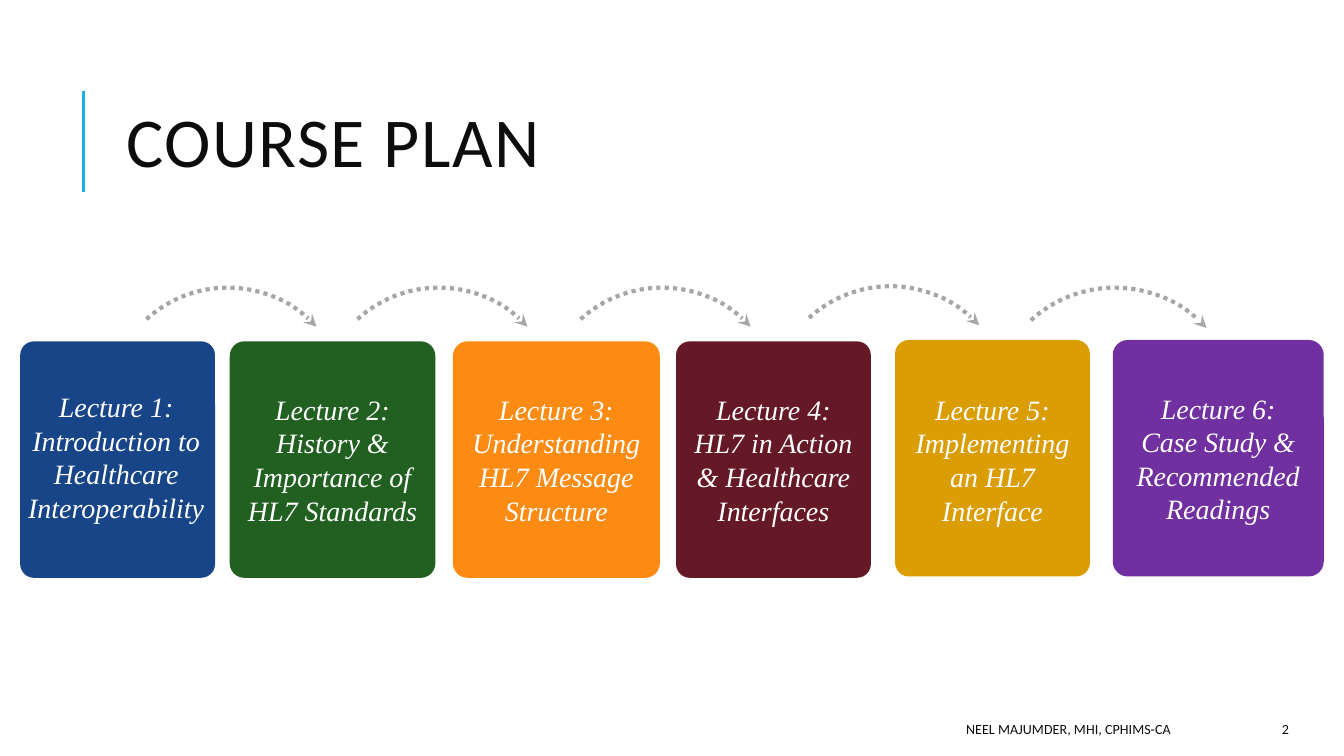
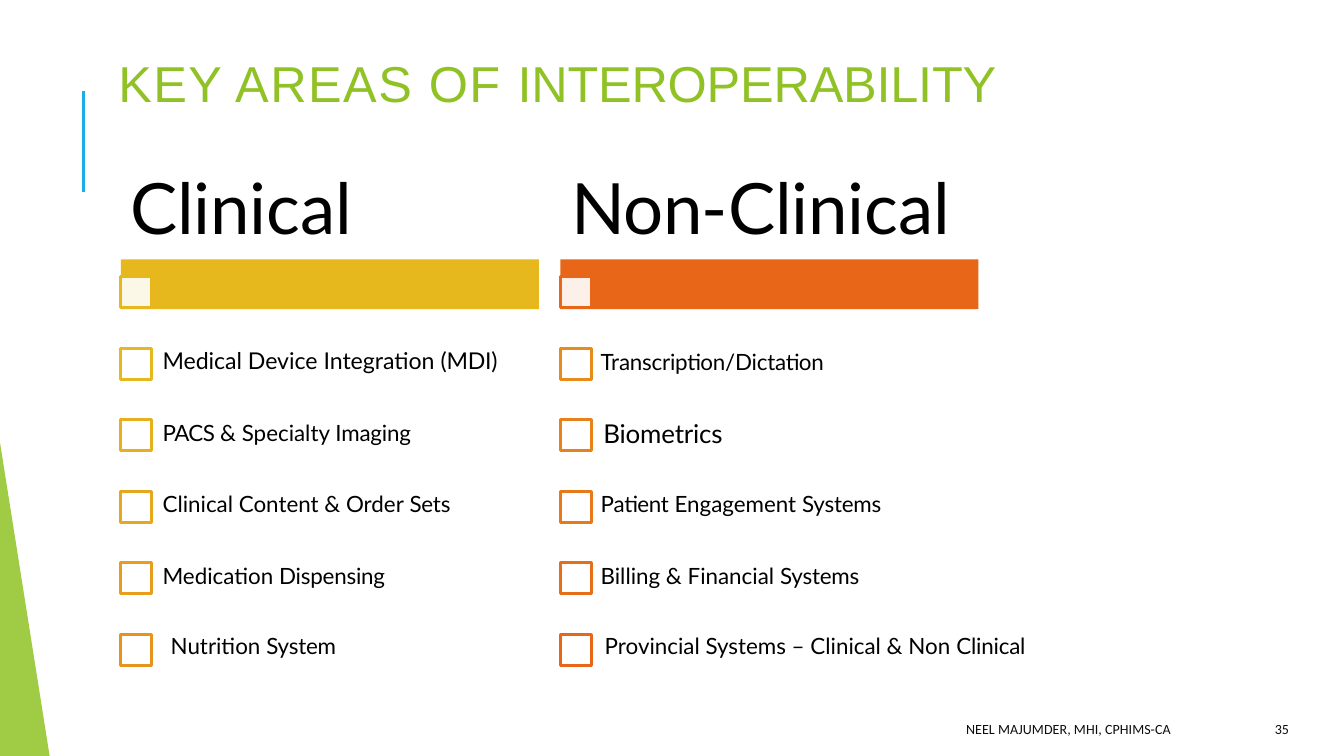
from dataclasses import dataclass

from lxml import etree
from pptx import Presentation
from pptx.dml.color import RGBColor
from pptx.enum.dml import MSO_LINE
from pptx.enum.shapes import MSO_CONNECTOR, MSO_SHAPE
from pptx.enum.text import MSO_ANCHOR, PP_ALIGN
from pptx.oxml.ns import qn
from pptx.util import Inches, Pt

LEFT, CENTER, RIGHT = PP_ALIGN.LEFT, PP_ALIGN.CENTER, PP_ALIGN.RIGHT
TOP, MIDDLE = MSO_ANCHOR.TOP, MSO_ANCHOR.MIDDLE
RECTANGLE, ROUNDED, ARC = MSO_SHAPE.RECTANGLE, MSO_SHAPE.ROUNDED_RECTANGLE, MSO_SHAPE.ARC
STRAIGHT = MSO_CONNECTOR.STRAIGHT
DOTTED = MSO_LINE.ROUND_DOT


@dataclass(frozen=True)
class Theme:
    """Colours, fonts and type sizes of the deck."""

    ink: str = "0D0D0D"
    black: str = "000000"
    white: str = "FFFFFF"
    accent: str = "1CADE4"
    green: str = "90C225"
    arrow: str = "A6A6A6"
    title_font: str = "Calibri"
    card_font: str = "Times New Roman"
    list_font: str = "Lato"
    area_title_font: str = "Arial"
    title_size: float = 37.5
    area_title_size: float = 27
    heading_size: float = 37.9
    card_size: float = 15
    item_size: float = 12
    footer_size: float = 7.5


THEME = Theme()
PAGE_WIDTH = Inches(10)
PAGE_HEIGHT = PAGE_WIDTH * 9 // 16
AUTHOR = "NEEL MAJUMDER, MHI, CPHIMS-CA"
DEFAULT_INSETS = (0.1, 0.05, 0.1, 0.05)
TIGHT_INSETS = (0.01, 0.01, 0, 0)
CARD_HEIGHT = 1.76
BOX_SIZE = 0.23
BAND_TOP, BAND_WIDTH, BAND_HEIGHT = 1.93, 3.11, 0.37
FIRST_BOX_TOP, BOX_GAP = 2.06, 2.66 / 5

CARDS = [
    (0.15, 2.54, 1.45, "184588",
     ["Lecture 1: Introduction to Healthcare Interoperability"], (0.08, 2.85, 1.57, 1.11)),
    (1.71, 2.54, 1.53, "226022", ["Lecture 2: History & Importance of HL7 Standards"], None),
    (3.37, 2.54, 1.54, "FC8B14", ["Lecture 3: Understanding HL7 Message Structure"], None),
    (5.03, 2.54, 1.45, "651826", ["Lecture 4: HL7 in Action & Healthcare Interfaces"], None),
    (6.66, 2.53, 1.45, "DA9D04",
     ["Lecture 5:", "Implementing an HL7 Interface"], (6.65, 2.87, 1.47, 1.11)),
    (8.28, 2.53, 1.57, "7030A0", ["Lecture 6:", "Case Study & Recommended Readings"], None),
]
ARROWS = [(0.8, 2.14, 1.79), (2.37, 2.14, 1.79), (4.03, 2.14, 1.79),
          (5.73, 2.13, 1.79), (7.37, 2.14, 1.85)]

CLINICAL = [
    ("E6B81E", (1.2, 2.57, 2.6), 12.4, [("Medical Device Integration ", 0), ("(MDI)", -0.1)]),
    ("E6AF1D", (1.2, 3.11, 1.91), THEME.item_size,
     [("PACS ", -0.3), ("& Specialty ", 0), ("Imaging", -0.1)]),
    ("E6A71D", (1.2, 3.64, 2.22), THEME.item_size,
     [("Clinical Content & Order ", 0), ("Sets", -0.1)]),
    ("E69E1C", (1.2, 4.17, 1.67), THEME.item_size, [("Medication ", 0), ("Dispensing", -0.1)]),
    ("E6941B", (1.26, 4.69, 1.28), THEME.item_size, [("Nutrition ", 0), ("System", -0.1)]),
]
NON_CLINICAL = [
    ("E78B1B", (4.46, 2.58, 1.79), THEME.item_size, [("Transcription/Dictation", -0.1)]),
    ("E7821A", (4.48, 3.1, 0.93), 13.9, [("Biometrics", -0.1)]),
    ("E77918", (4.46, 3.64, 2.17), THEME.item_size,
     [("Patient ", -0.1), ("Engagement ", 0), ("Systems", -0.1)]),
    ("E76E18", (4.46, 4.17, 2.03), THEME.item_size,
     [("Billing & Financial ", 0), ("Systems", -0.1)]),
    ("E76617", (4.49, 4.69, 3.24), THEME.item_size,
     [("Provincial Systems – Clinical & Non ", 0), ("Clinical", -0.1)]),
]


def rgb(code):
    """Return the colour for a hex code."""
    return RGBColor.from_string(code)


def write_text(frame, paragraphs, font, size, color, italic=False, align=LEFT, anchor=TOP,
               insets=DEFAULT_INSETS, line_spacing=None, tab=None):
    """Fill a text frame with paragraphs, each a list of (text, letter spacing) spans."""
    frame.word_wrap = True
    frame.vertical_anchor = anchor
    frame.margin_left, frame.margin_top, frame.margin_right, frame.margin_bottom = map(
        Inches, insets)
    for index, spans in enumerate(paragraphs):
        para = frame.add_paragraph() if index else frame.paragraphs[0]
        para.alignment = align
        if line_spacing:
            para.line_spacing = line_spacing
        if tab:
            tabs = etree.SubElement(para._p.get_or_add_pPr(), qn("a:tabLst"))
            etree.SubElement(tabs, qn("a:tab"), pos=str(Inches(tab)), algn="l")
        for text, spacing in spans:
            span = para.add_run()
            span.text = text
            span.font.name, span.font.size = font, Pt(size)
            span.font.italic = italic
            span.font.color.rgb = rgb(color)
            if spacing:
                span._r.get_or_add_rPr().set("spc", str(round(spacing * 100)))


def add_text(page, place, paragraphs, **style):
    """Add a text box."""
    box = page.shapes.add_textbox(*map(Inches, place))
    write_text(box.text_frame, paragraphs, **style)


def paint(shape, fill=None, alpha=None, line=None, width=1.6):
    """Set the fill, transparency and outline of a shape."""
    shape.shadow.inherit = False
    if fill:
        shape.fill.solid()
        shape.fill.fore_color.rgb = rgb(fill)
        if alpha:
            color = shape._element.spPr.find(qn("a:solidFill"))[0]
            etree.SubElement(color, qn("a:alpha"), val=str(alpha * 1000))
    else:
        shape.fill.background()
    if line:
        shape.line.color.rgb = rgb(line)
        shape.line.width = Pt(width)
    else:
        shape.line.fill.background()


def add_block(page, kind, place, **look):
    """Add a painted preset shape."""
    shape = page.shapes.add_shape(kind, *map(Inches, place))
    paint(shape, **look)
    return shape


def add_card(page, left, top, width, color, lines, label_place):
    """Add a lecture card, its label inside or in a box of its own."""
    card = add_block(page, ROUNDED, (left, top, width, CARD_HEIGHT), fill=color)
    card.adjustments[0] = 0.071
    paragraphs = [[(line, 0)] for line in lines]
    style = dict(font=THEME.card_font, size=THEME.card_size, color=THEME.white,
                 italic=True, align=CENTER)
    if label_place:
        add_text(page, label_place, paragraphs, **style)
    else:
        write_text(card.text_frame, paragraphs, anchor=MIDDLE, **style)


def add_arc_arrow(page, left, top, size):
    """Add a dotted arc that ends in an arrowhead."""
    arc = add_block(page, ARC, (left, top, size, size), line=THEME.arrow, width=2.25)
    arc.rotation = 317.5
    arc.line.dash_style = DOTTED
    etree.SubElement(arc.line._get_or_add_ln(), qn("a:tailEnd"), type="stealth")


def add_wedge(page):
    """Add the green wedge at the lower left edge."""
    outline = page.shapes.build_freeform(0, Inches(3.29))
    outline.add_line_segments([(0, PAGE_HEIGHT), (Inches(0.37), PAGE_HEIGHT)], close=True)
    paint(outline.convert_to_shape(), fill=THEME.green, alpha=85)


def add_checklist(page, left, band_color, items):
    """Add a colour band with a column of check boxes and labels."""
    add_block(page, RECTANGLE, (left, BAND_TOP, BAND_WIDTH, BAND_HEIGHT), fill=band_color)
    add_block(page, RECTANGLE, (left, FIRST_BOX_TOP, BOX_SIZE, BOX_SIZE),
              fill=THEME.white, alpha=90)
    colors = [band_color] + [item[0] for item in items]
    for row, color in enumerate(colors):
        place = (left, FIRST_BOX_TOP + row * BOX_GAP, BOX_SIZE, BOX_SIZE)
        add_block(page, RECTANGLE, place, line=color)
    for _, place, size, spans in items:
        add_text(page, (*place, 0.21), [spans], font=THEME.list_font, size=size,
                 color=THEME.black, insets=TIGHT_INSETS)


def add_page(deck, number):
    """Add a page with the accent line and the footer."""
    page = deck.slides.add_slide(deck.slide_layouts[6])
    rule = page.shapes.add_connector(
        STRAIGHT, Inches(0.62), Inches(1.43), Inches(0.62), Inches(0.68))
    rule.line.color.rgb = rgb(THEME.accent)
    rule.line.width = Pt(1.5)
    etree.SubElement(rule._element.spPr, qn("a:effectLst"))
    for left, width, text in ((3.97, 4.84, AUTHOR), (8.89, 0.8, str(number))):
        add_text(page, (left, 5.31, width, 0.23), [[(text, 0)]], font=THEME.title_font,
                 size=THEME.footer_size, color=THEME.ink, align=RIGHT, anchor=MIDDLE)
    return page


def build_course_plan(deck):
    """Build the page with the six lectures."""
    page = add_page(deck, 2)
    add_text(page, (0.84, 0.48, 7.97, 1.23), [[("COURSE PLAN", 0.8)]], font=THEME.title_font,
             size=THEME.title_size, color=THEME.ink, anchor=MIDDLE, line_spacing=0.8)
    for card in CARDS:
        add_card(page, *card)
    for arrow in ARROWS:
        add_arc_arrow(page, *arrow)


def build_key_areas(deck):
    """Build the page with the clinical and non-clinical areas."""
    page = add_page(deck, 35)
    add_wedge(page)
    add_text(page, (0.87, 0.38, 8.19, 0.46),
             [[("KEY AREAS OF ", 0.8), ("INTEROPERABILITY", -0.1)]],
             font=THEME.area_title_font, size=THEME.area_title_size, color=THEME.green,
             anchor=MIDDLE, insets=TIGHT_INSETS)
    add_checklist(page, 0.9, "E6B81E", CLINICAL)
    add_checklist(page, 4.17, "E76617", NON_CLINICAL)
    add_text(page, (0.96, 1.21, 6.12, 0.65),
             [[("Clinical\t", -0.1), ("Non-", -0.3), ("Clinical", -0.1)]],
             font=THEME.list_font, size=THEME.heading_size, color=THEME.black,
             insets=TIGHT_INSETS, tab=3.28)


def main():
    """Build and save the deck."""
    deck = Presentation()
    deck.slide_width, deck.slide_height = PAGE_WIDTH, PAGE_HEIGHT
    build_course_plan(deck)
    build_key_areas(deck)
    deck.save("out.pptx")


if __name__ == "__main__":
    main()
